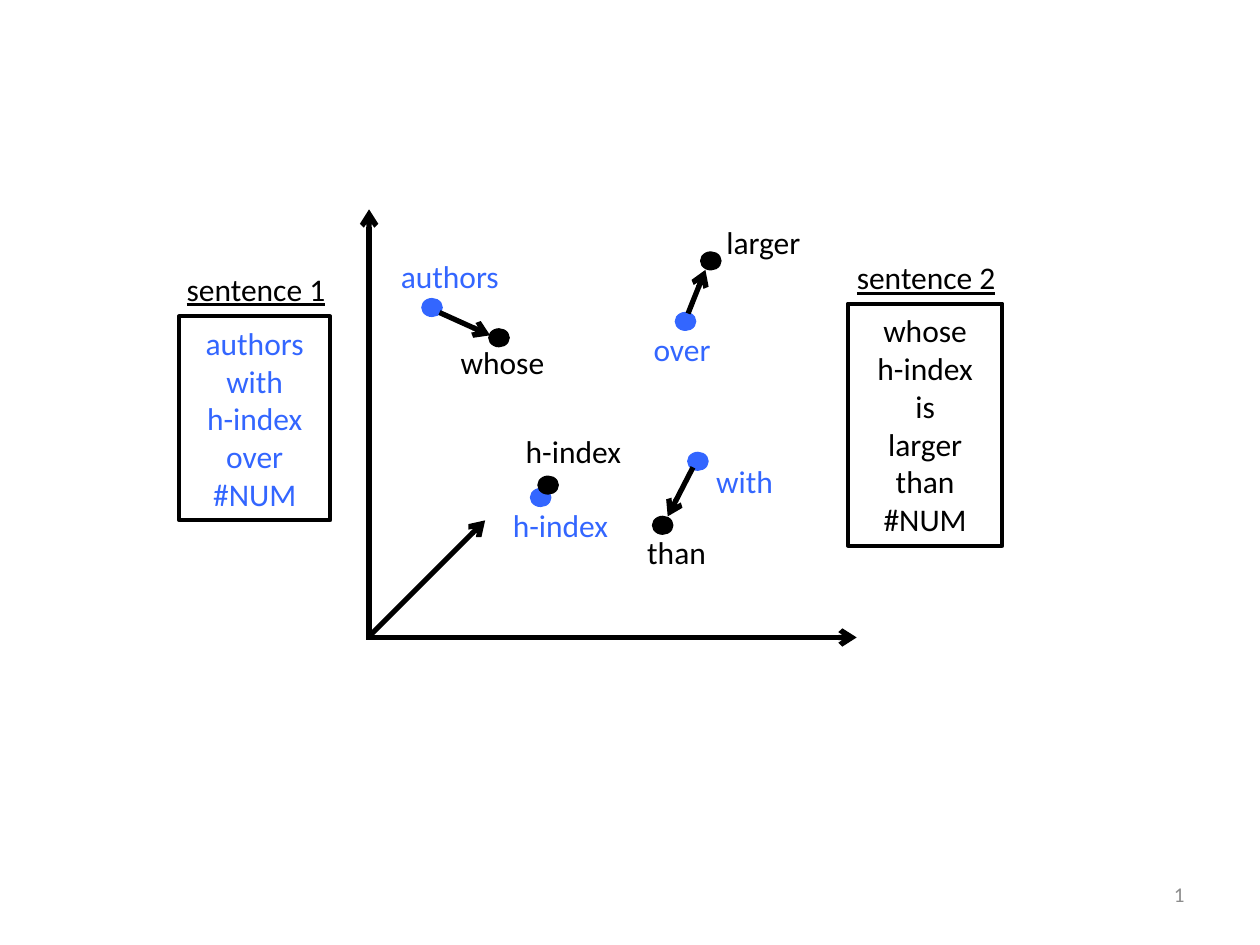
from typing import NamedTuple

from lxml import etree
from pptx import Presentation
from pptx import util as u
from pptx.dml.color import RGBColor
from pptx.enum import shapes, text
from pptx.oxml.ns import qn

BLUE, BLACK, GREY = "3366FF", "000000", "8C8C8C"
MID = text.PP_ALIGN.CENTER


class Word(NamedTuple):
    text: str
    x: float
    y: float
    color: str


class Dot(NamedTuple):
    x: float
    y: float
    color: str


class Arrow(NamedTuple):
    x1: float
    y1: float
    x2: float
    y2: float


class Panel(NamedTuple):
    title: str
    title_x: float
    title_y: float
    words: str
    color: str
    left: float
    top: float
    width: float
    height: float


WORDS = [
    Word("authors", 9.07, 5.56, BLUE),
    Word("whose", 10.13, 7.29, BLACK),
    Word("over", 13.75, 7.04, BLUE),
    Word("larger", 15.39, 4.88, BLACK),
    Word("h-index", 11.56, 9.1, BLACK),
    Word("h-index", 11.3, 10.59, BLUE),
    Word("with", 15.01, 9.7, BLUE),
    Word("than", 13.64, 11.13, BLACK),
]
DOTS = [
    Dot(8.71, 6.2, BLUE), Dot(10.06, 6.81, BLACK),
    Dot(13.82, 6.48, BLUE), Dot(14.33, 5.26, BLACK),
    Dot(10.9, 10.03, BLUE), Dot(11.05, 9.78, BLACK),
    Dot(14.07, 9.3, BLUE), Dot(13.36, 10.59, BLACK),
]
AXES = [
    Arrow(7.39, 12.85, 17.27, 12.85),
    Arrow(7.44, 12.9, 7.44, 4.22),
    Arrow(7.44, 12.83, 9.78, 10.49),
]
MOVES = [
    Arrow(8.86, 6.3, 9.88, 6.76),
    Arrow(13.87, 6.32, 14.22, 5.44),
    Arrow(13.97, 9.42, 13.46, 10.41),
]
PANELS = [
    Panel("sentence 1", 5.16, 5.82, "authors\nwith\nh-index\nover\n#NUM",
          BLUE, 3.61, 6.38, 3.05, 4.11),
    Panel("sentence 2", 18.67, 5.59, "whose\nh-index\nis\nlarger than\n#NUM",
          BLACK, 17.09, 6.12, 3.12, 4.88),
]


def rgb(code: str) -> RGBColor:
    return RGBColor.from_string(code)


def write(shape, words: str, *, color: str = BLACK, size: int = 18,
          align=MID, under: bool = False, wrap: bool = True) -> None:
    frame = shape.text_frame
    frame.word_wrap = wrap
    frame.vertical_anchor = text.MSO_ANCHOR.MIDDLE
    frame.text = words
    for para in frame.paragraphs:
        para.alignment = align
        for run in para.runs:
            font = run.font
            font.name, font.size = "Calibri", u.Pt(size)
            font.color.rgb = rgb(color)
            if under:
                font.underline = True


def label(slide, words: str, x: float, y: float, *, width: float = 2.8,
          **style) -> None:
    box = slide.shapes.add_textbox(u.Cm(x - width / 2), u.Cm(y - 0.51),
                                   u.Cm(width), u.Cm(1.02))
    write(box, words, **style)


def draw_panel(slide, item: Panel) -> None:
    label(slide, item.title, item.title_x, item.title_y, width=3.66,
          under=True, wrap=False)
    box = slide.shapes.add_shape(
        shapes.MSO_SHAPE.RECTANGLE, u.Cm(item.left), u.Cm(item.top),
        u.Cm(item.width), u.Cm(item.height))
    box.shadow.inherit = False
    box.fill.background()
    box.line.color.rgb = rgb(BLACK)
    box.line.width = u.Pt(2.25)
    write(box, item.words, color=item.color)


def draw_dot(slide, item: Dot) -> None:
    wide, high = 0.41, 0.36
    dot = slide.shapes.add_shape(
        shapes.MSO_SHAPE.OVAL, u.Cm(item.x - wide / 2),
        u.Cm(item.y - high / 2), u.Cm(wide), u.Cm(high))
    dot.shadow.inherit = False
    dot.fill.solid()
    dot.fill.fore_color.rgb = rgb(item.color)
    dot.line.color.rgb = rgb(item.color)
    dot.line.width = u.Pt(0.75)


def draw_arrow(slide, item: Arrow) -> None:
    line = slide.shapes.add_connector(
        shapes.MSO_CONNECTOR.STRAIGHT, *(u.Cm(part) for part in item))
    line.line.color.rgb = rgb(BLACK)
    line.line.width = u.Pt(3)
    etree.SubElement(line.line._get_or_add_ln(), qn("a:tailEnd"), type="arrow")
    etree.SubElement(line._element.spPr, qn("a:effectLst"))


def main() -> None:
    deck = Presentation()
    deck.slide_width, deck.slide_height = u.Cm(25.4), u.Cm(19.05)
    slide = deck.slides.add_slide(deck.slide_layouts[6])
    label(slide, "1", 21.17, 18.03, width=5.92, color=GREY, size=12,
          align=text.PP_ALIGN.RIGHT)
    for panel in PANELS:
        draw_panel(slide, panel)
    for word in WORDS:
        label(slide, word.text, word.x, word.y, color=word.color)
    for axis in AXES:
        draw_arrow(slide, axis)
    for dot in DOTS:
        draw_dot(slide, dot)
    for move in MOVES:
        draw_arrow(slide, move)
    deck.save("out.pptx")


main()
